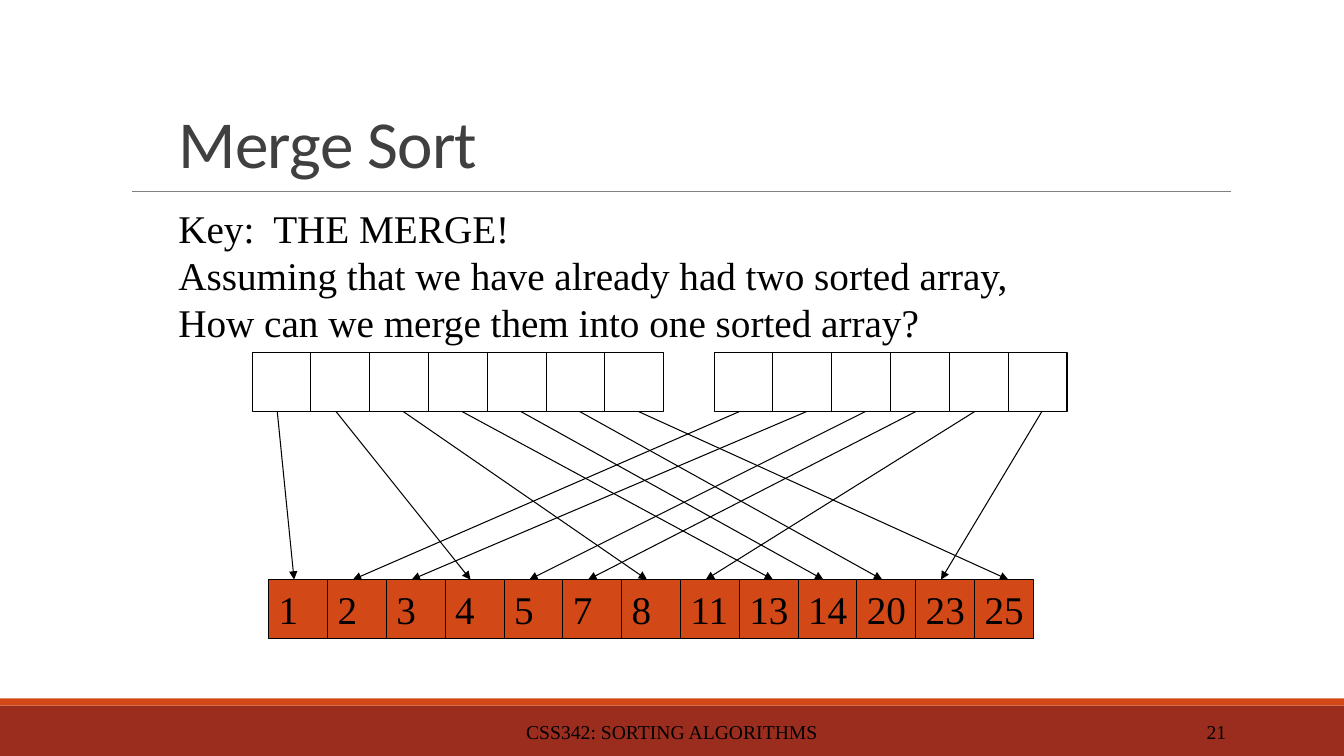
from dataclasses import dataclass

from lxml.etree import SubElement
from pptx import Presentation
from pptx.dml.color import RGBColor
from pptx.enum.shapes import MSO_CONNECTOR, MSO_SHAPE
from pptx.enum.text import MSO_ANCHOR as ANCHOR, MSO_AUTO_SIZE as AUTO_SIZE, PP_ALIGN as ALIGN
from pptx.oxml.ns import qn
from pptx.shapes.autoshape import Shape
from pptx.shapes.connector import Connector
from pptx.shapes.shapetree import GroupShapes, SlideShapes
from pptx.text.text import TextFrame
from pptx.util import Inches, Pt

BLACK = RGBColor(0x00, 0x00, 0x00)
WHITE = RGBColor(0xFF, 0xFF, 0xFF)
GRAY = RGBColor(0x80, 0x80, 0x80)
DARK_GRAY = RGBColor(0x40, 0x40, 0x40)
ORANGE = RGBColor(0xD3, 0x48, 0x17)
BRICK = RGBColor(0x9B, 0x2D, 0x1F)

SERIF = "Times New Roman"
WIDTH, HEIGHT = 13.33, 7.5
CELL = 7 / 12
SOURCE_TOP, MERGED_TOP = 3.5, 5.75
MERGED_LEFT = 8 / 3
NEAR, FAR = 1 / 4, 1 / 3


@dataclass(frozen=True)
class Element:
    value: int
    tail_dx: float = FAR
    head_dx: float = NEAR


@dataclass(frozen=True)
class SortedArray:
    left: float
    elements: tuple[Element, ...]


@dataclass(frozen=True)
class Label:
    text: str
    left: float
    top: float
    width: float
    height: float
    size: int
    align: ALIGN = ALIGN.LEFT
    anchor: ANCHOR = ANCHOR.TOP


LEFT_ARRAY = SortedArray(2.5, (
    Element(1, NEAR), Element(4, NEAR), Element(8), Element(13, FAR, FAR),
    Element(14), Element(20), Element(25, FAR, FAR),
))
RIGHT_ARRAY = SortedArray(7 + 1 / 12, (
    Element(2, NEAR), Element(3), Element(5),
    Element(7, NEAR), Element(11, NEAR), Element(23),
))
ARRAYS = (LEFT_ARRAY, RIGHT_ARRAY)
MERGED = sorted(e.value for array in ARRAYS for e in array.elements)

LABELS = (
    Label("CSS342: SORTING ALGORITHMS", 4.03, 7.06, 5.27, 0.4, 14, ALIGN.CENTER, ANCHOR.MIDDLE),
    Label("21", 10.83, 7.06, 1.43, 0.4, 14, ALIGN.RIGHT, ANCHOR.MIDDLE),
    Label("Key:  THE MERGE!\n"
          "Assuming that we have already had two sorted array,\n"
          "How can we merge them into one sorted array?", 1.67, 1.98, 9.29, 1.51, 28),
)


def format_text(tf: TextFrame, font: str, size: int, color: RGBColor, align: ALIGN) -> None:
    for p in tf.paragraphs:
        p.alignment = align
        for r in p.runs:
            r.font.name = font
            r.font.size = Pt(size)
            r.font.color.rgb = color


def add_rect(shapes: SlideShapes | GroupShapes, left: float, top: float,
             width: float, height: float, fill: RGBColor) -> Shape:
    sp = shapes.add_shape(MSO_SHAPE.RECTANGLE, Inches(left), Inches(top),
                          Inches(width), Inches(height))
    sp.shadow.inherit = False
    sp.fill.solid()
    sp.fill.fore_color.rgb = fill
    sp.line.fill.background()
    return sp


def add_cell(shapes: GroupShapes, left: float, top: float, fill: RGBColor) -> Shape:
    sp = add_rect(shapes, left, top, CELL, CELL, fill)
    sp.line.color.rgb = BLACK
    sp.line.width = Pt(0.75)
    return sp


def add_line(shapes: SlideShapes | GroupShapes, x1: float, y1: float, x2: float, y2: float,
             color: RGBColor, width: float) -> Connector:
    line = shapes.add_connector(MSO_CONNECTOR.STRAIGHT, Inches(x1), Inches(y1),
                                Inches(x2), Inches(y2))
    line.line.color.rgb = color
    line.line.width = Pt(width)
    SubElement(line._element.spPr, qn("a:effectLst"))
    return line


def add_label(shapes: SlideShapes, label: Label) -> None:
    sp = shapes.add_textbox(Inches(label.left), Inches(label.top),
                            Inches(label.width), Inches(label.height))
    tf = sp.text_frame
    tf.text = label.text
    tf.word_wrap = True
    tf.vertical_anchor = label.anchor
    format_text(tf, SERIF, label.size, BLACK, label.align)


def add_title(shapes: SlideShapes, text: str) -> None:
    title = shapes.title
    title.left, title.top = Inches(1.67), Inches(0)
    title.width, title.height = Inches(10), Inches(1.83)
    tf = title.text_frame
    tf.text = text
    tf.auto_size = AUTO_SIZE.NONE
    tf.vertical_anchor = ANCHOR.BOTTOM
    format_text(tf, "Calibri", 48, DARK_GRAY, ALIGN.LEFT)
    p = tf.paragraphs[0]
    p.line_spacing = 0.7
    p.runs[0]._r.get_or_add_rPr().set("spc", "-50")


def add_move(shapes: SlideShapes, element: Element, source_left: float) -> None:
    group = shapes.add_group_shape().shapes
    merged_left = MERGED_LEFT + MERGED.index(element.value) * CELL
    sp = add_cell(group, merged_left, MERGED_TOP, ORANGE)
    tf = sp.text_frame
    tf.text = str(element.value)
    tf.word_wrap = False
    tf.vertical_anchor = ANCHOR.MIDDLE
    format_text(tf, SERIF, 28, BLACK, ALIGN.LEFT)
    arrow = add_line(group, source_left + element.tail_dx, SOURCE_TOP + CELL,
                     merged_left + element.head_dx, MERGED_TOP, BLACK, 0.75)
    SubElement(arrow.line._get_or_add_ln(), qn("a:tailEnd"), type="triangle")
    add_cell(group, source_left, SOURCE_TOP, WHITE)


def main() -> None:
    prs = Presentation()
    prs.slide_width, prs.slide_height = Inches(WIDTH), Inches(HEIGHT)
    shapes = prs.slides.add_slide(prs.slide_layouts[5]).shapes
    add_rect(shapes, 0, 7, WIDTH, 0.5, BRICK)
    add_rect(shapes, 0, 6.93, WIDTH, 0.07, ORANGE)
    add_line(shapes, 1.31, 1.9, 12.21, 1.9, GRAY, 0.5)
    add_title(shapes, "Merge Sort")
    for label in LABELS:
        add_label(shapes, label)
    for array in ARRAYS:
        for i, element in enumerate(array.elements):
            add_move(shapes, element, array.left + i * CELL)
    prs.save("out.pptx")


if __name__ == "__main__":
    main()
